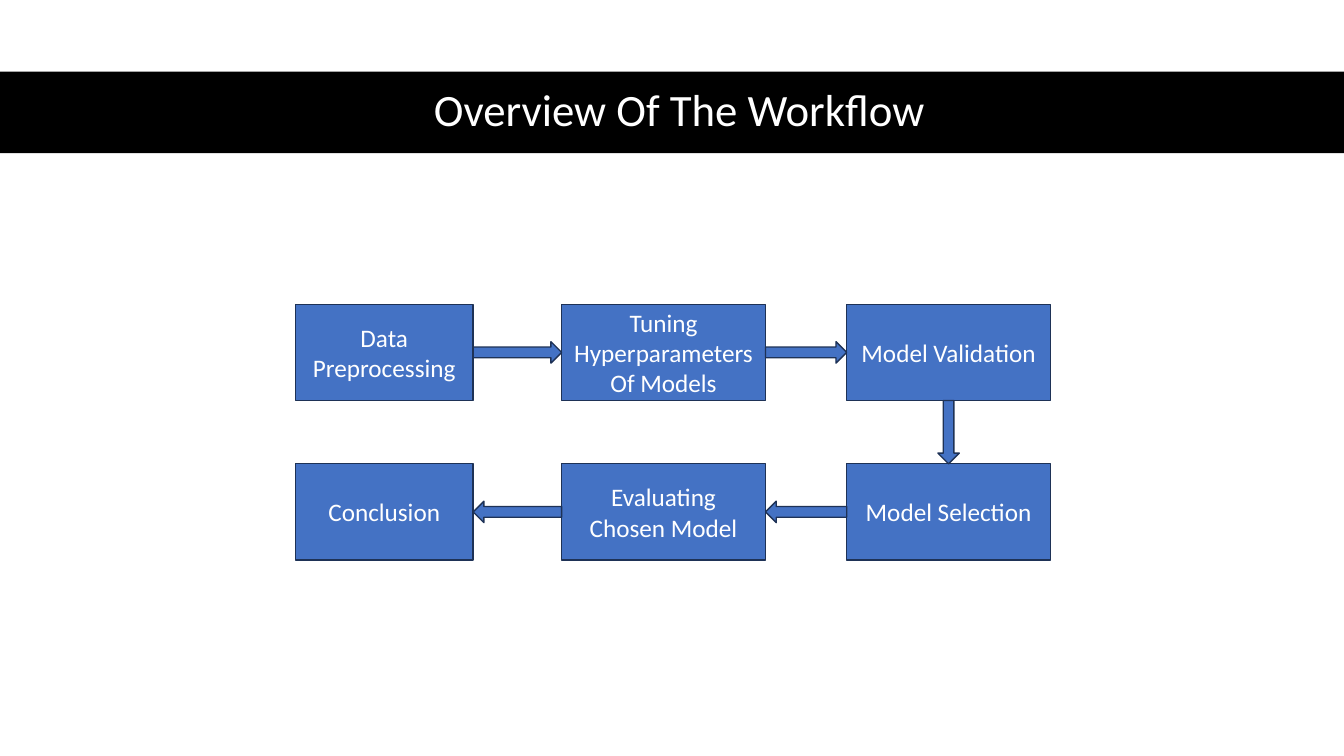
from pptx import Presentation
from pptx.dml.color import RGBColor
from pptx.enum.shapes import MSO_SHAPE
from pptx.enum.text import MSO_ANCHOR, PP_ALIGN
from pptx.util import Pt

BLACK, WHITE, BLUE, NAVY = "000000", "FFFFFF", "4472C4", "1E3256"

COLUMNS = [(0, 127), (190.2, 145.6), (393.8, 145.6)]  # offset and width
STEP_HEIGHT = 68.7
ARROW_THICKNESS = 15.3
STEPS = [
    ["Data Preprocessing", "Tuning Hyperparameters Of Models", "Model Validation"],
    ["Conclusion", "Evaluating Chosen Model", "Model Selection"],
]


def color(hex_code):
    return RGBColor.from_string(hex_code)


def set_format(target, values):
    for name, value in values.items():
        setattr(target, name, value)


def add_block(slide, preset, box, fill, line=None):
    """Add a flat preset shape; box is left, top, width, height in points."""
    block = slide.shapes.add_shape(preset, *map(Pt, box))
    block.shadow.inherit = False
    block.fill.solid()
    block.fill.fore_color.rgb = color(fill)
    if line:
        block.line.color.rgb = color(line)
        block.line.width = Pt(1)
    else:
        block.line.fill.background()
    return block


def write_centered(holder, text, size, line_spacing=1.0):
    frame = holder.text_frame
    set_format(frame, {"word_wrap": True, "vertical_anchor": MSO_ANCHOR.MIDDLE})
    paragraph = frame.paragraphs[0]
    set_format(paragraph, {"alignment": PP_ALIGN.CENTER, "line_spacing": line_spacing})
    run = paragraph.add_run()
    run.text = text
    set_format(run.font, {"name": "Calibri", "size": Pt(size)})
    run.font.color.rgb = color(WHITE)


def add_title_band(slide, left, top, width, height):
    add_block(slide, MSO_SHAPE.RECTANGLE, (left, top, width, height), BLACK)
    title_box = (left + 44, top - 0.7, width - 77.3, height)
    title = slide.shapes.add_textbox(*map(Pt, title_box))
    write_centered(title, "Overview Of The Workflow", 32, 0.9)


def add_workflow(slide, left, top, height):
    """Run the top row rightwards, turn down, and run the bottom row back."""
    row_tops = [top, top + height - STEP_HEIGHT]
    for row_top, labels in zip(row_tops, STEPS):
        for (offset, width), label in zip(COLUMNS, labels):
            step_box = (left + offset, row_top, width, STEP_HEIGHT)
            step = add_block(slide, MSO_SHAPE.RECTANGLE, step_box, BLUE, NAVY)
            write_centered(step, label, 18)

    for row_top, rotation in zip(row_tops, (0, 180)):
        arrow_top = row_top + (STEP_HEIGHT - ARROW_THICKNESS) / 2
        for (offset, width), (next_offset, _) in zip(COLUMNS, COLUMNS[1:]):
            gap = next_offset - offset - width
            arrow_box = (left + offset + width, arrow_top, gap, ARROW_THICKNESS)
            arrow = add_block(slide, MSO_SHAPE.RIGHT_ARROW, arrow_box, BLUE, NAVY)
            arrow.rotation = rotation

    last_offset, last_width = COLUMNS[-1]
    turn_left = left + last_offset + (last_width - ARROW_THICKNESS) / 2
    turn_box = (turn_left, top + STEP_HEIGHT, ARROW_THICKNESS, height - 2 * STEP_HEIGHT)
    add_block(slide, MSO_SHAPE.DOWN_ARROW, turn_box, BLUE, NAVY)


def main():
    deck = Presentation()
    set_format(deck, {"slide_width": Pt(960), "slide_height": Pt(540)})
    slide = deck.slides.add_slide(deck.slide_layouts[6])
    add_title_band(slide, 0, 51.2, 960, 58.2)
    add_workflow(slide, 211, 217.4, 182.6)
    deck.save("out.pptx")


if __name__ == "__main__":
    main()
